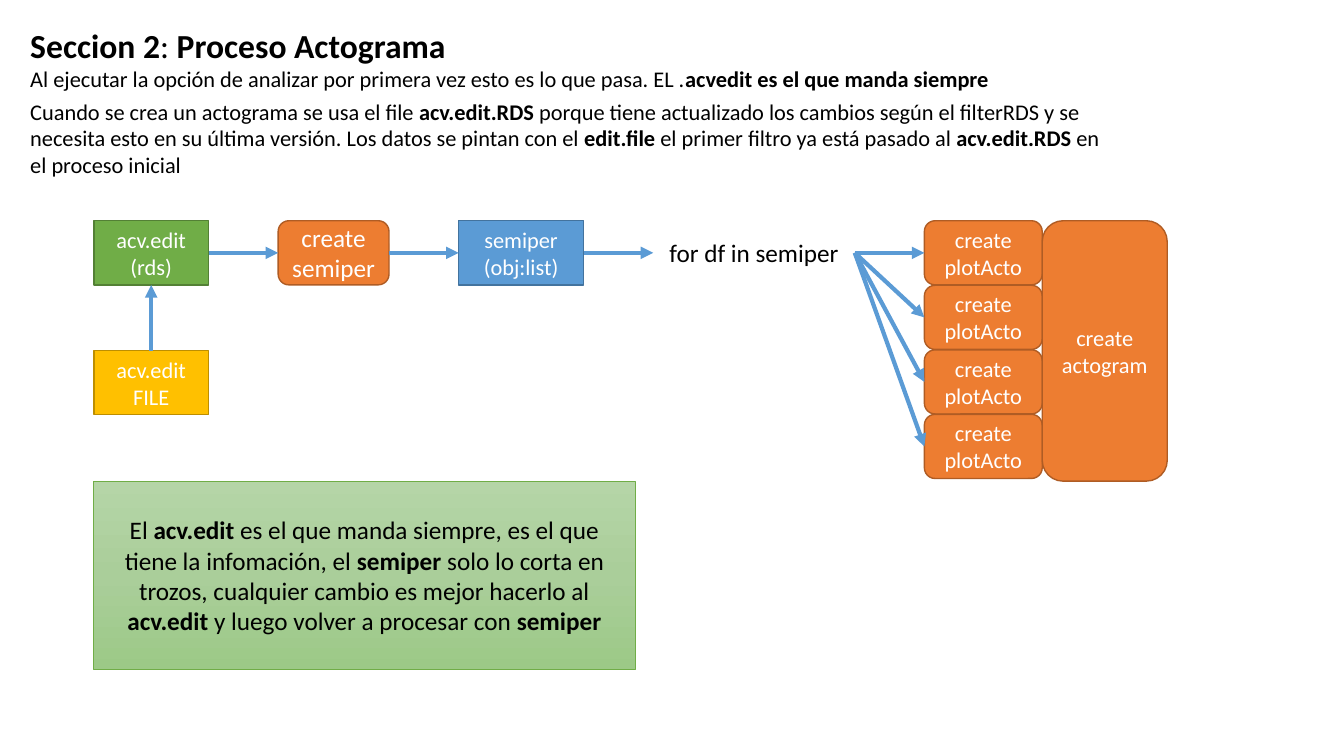
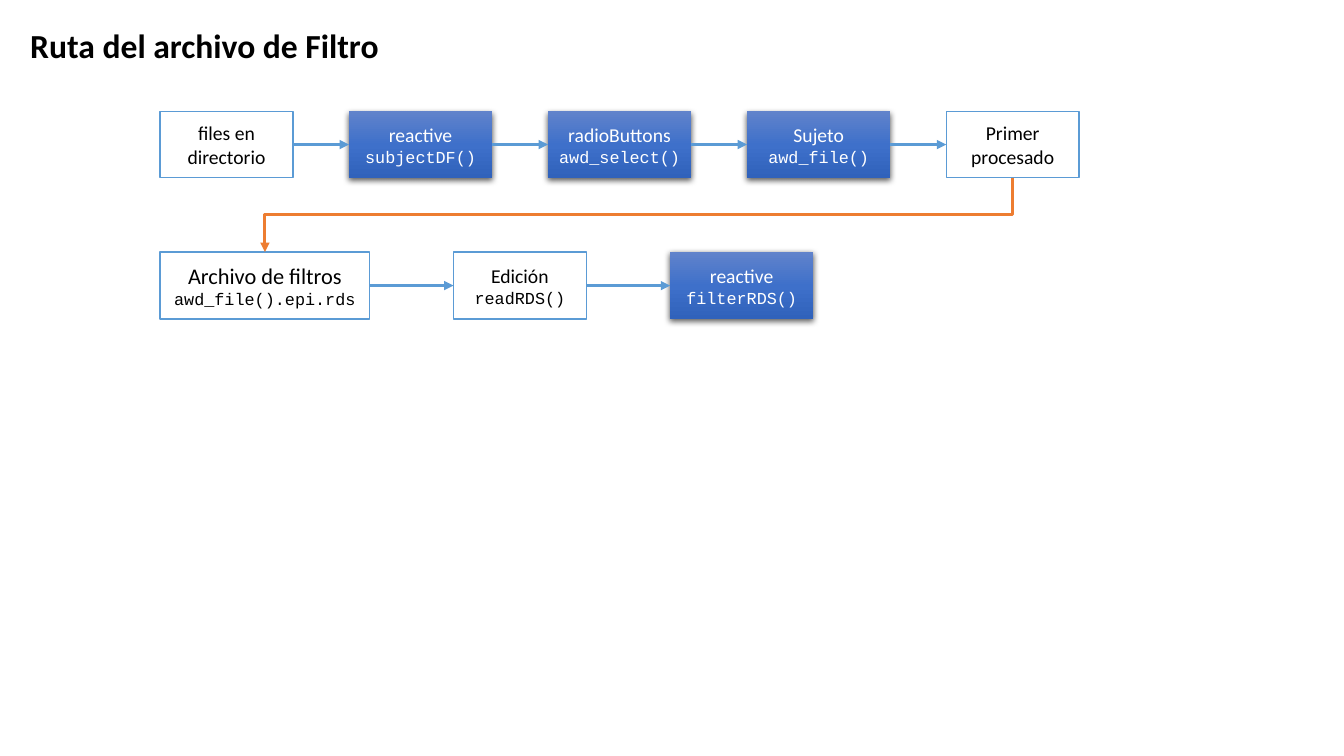
from copy import deepcopy

from lxml import etree
from pptx import Presentation
from pptx.dml.color import RGBColor
from pptx.enum.shapes import MSO_CONNECTOR, MSO_SHAPE
from pptx.enum.text import MSO_ANCHOR, MSO_AUTO_SIZE, PP_ALIGN
from pptx.oxml.ns import qn
from pptx.util import Pt

RECTANGLE, ROUNDED = MSO_SHAPE.RECTANGLE, MSO_SHAPE.ROUNDED_RECTANGLE
STRAIGHT, ELBOW = MSO_CONNECTOR.STRAIGHT, MSO_CONNECTOR.ELBOW
CENTER, LEFT = PP_ALIGN.CENTER, PP_ALIGN.LEFT
MIDDLE, TOP_ANCHOR = MSO_ANCHOR.MIDDLE, MSO_ANCHOR.TOP
NO_AUTOFIT = MSO_AUTO_SIZE.NONE
TOP, LEFT_SIDE, BOTTOM, RIGHT_SIDE = range(4)


class Theme:
    black, white = "000000", "FFFFFF"
    arrow, return_arrow = "5B9BD5", "ED7D31"
    title = {"size": Pt(24), "name": "Calibri"}
    large = {"size": Pt(18), "name": "Calibri"}
    label = {"size": Pt(16), "name": "Calibri"}
    small = {"size": Pt(14), "name": "Calibri"}
    code = {"size": Pt(12), "name": "Courier New"}
    # Each look holds the fill (or gradient stops), line, line width and text colour.
    plain = (None, None, 0, black)
    green = ("70AD47", "538035", 1, white)
    orange = ("ED7D31", "AF5C24", 1, white)
    blue = ("5B9BD5", "43739E", 1, white)
    yellow = ("FFC000", "BD8E00", 1, white)
    outline = (white, "5B9BD5", 1, black)
    note = (("B5D5A7", "AACE9A", "9CC987"), "70AD47", 0.5, black)
    reactive = (("6183CB", "3E70CA", "3062BB"), None, 0, white)


def write_text(shape, lines, color, alignment, anchor):
    """Write (text, style) lines as paragraphs; text between ** marks is bold."""
    frame = shape.text_frame
    settings = {"word_wrap": True, "auto_size": NO_AUTOFIT, "vertical_anchor": anchor}
    for name, value in settings.items():
        setattr(frame, name, value)
    for index, (text, style) in enumerate(lines):
        paragraph = frame.add_paragraph() if index else frame.paragraphs[0]
        paragraph.alignment = alignment
        for part, words in enumerate(text.split("**")):
            if words:
                run = paragraph.add_run()
                run.text = words
                for name, value in {**style, "bold": part % 2 == 1}.items():
                    setattr(run.font, name, value)
                run.font.color.rgb = RGBColor.from_string(color)


def add_box(slide, kind, bounds, look, lines):
    """Add a labelled shape, or a text box when kind is None."""
    fill, line, weight, ink = look
    bounds = [Pt(value) for value in bounds]
    if kind is None:
        shape = slide.shapes.add_textbox(*bounds)
    else:
        shape = slide.shapes.add_shape(kind, *bounds)
        shape.shadow.inherit = False
    if isinstance(fill, tuple):
        shape.fill.gradient()
        shape.fill.gradient_angle = 270
        stop_list = shape._element.spPr.find(".//" + qn("a:gsLst"))
        stop_list.insert(1, deepcopy(stop_list[0]))
        for index, stop in enumerate(shape.fill.gradient_stops):
            stop.position = index / 2
            stop.color.rgb = RGBColor.from_string(fill[index])
    elif fill:
        shape.fill.solid()
        shape.fill.fore_color.rgb = RGBColor.from_string(fill)
    if line:
        shape.line.color.rgb = RGBColor.from_string(line)
        shape.line.width = Pt(weight)
    else:
        shape.line.fill.background()
    if look is Theme.reactive:
        effects = shape._element.spPr.find(qn("a:effectLst"))
        shadow = etree.SubElement(effects, qn("a:outerShdw"), blurRad=str(Pt(4.5)),
                                  dist=str(Pt(1.5)), dir="5400000", rotWithShape="0")
        shadow_color = etree.SubElement(shadow, qn("a:srgbClr"), val=Theme.black)
        etree.SubElement(shadow_color, qn("a:alpha"), val="63000")
    write_text(shape, lines, ink, CENTER, MIDDLE)
    return shape


presentation = Presentation()
presentation.slide_width, presentation.slide_height = Pt(960), Pt(540)
layouts = presentation.slide_layouts
process_slide = presentation.slides.add_slide(layouts.get_by_name("Title and Content"))
route_slide = presentation.slides.add_slide(layouts.get_by_name("Title Only"))

# Titles and introduction
intro = [
    ("Al ejecutar la opción de analizar por primera vez esto es lo que pasa. EL ."
     "**acvedit es el que manda siempre**", Theme.label),
    ("Cuando se crea un actograma se usa el file **acv.edit.RDS **porque tiene "
     "actualizado los cambios según el filterRDS y se necesita esto en su última "
     "versión. Los datos se pintan con el **edit.file** el primer filtro ya está "
     "pasado al **acv.edit.RDS **en el proceso inicial", Theme.label),
]
body = process_slide.placeholders[1]
headings = [
    (process_slide.shapes.title, (14.4, 14.4, 790, 36),
     [("**Seccion 2**: **Proceso Actograma**", Theme.title)]),
    (route_slide.shapes.title, (14.4, 14.4, 909, 53),
     [("**Ruta del archivo de Filtro**", Theme.title)]),
    (body, (14.4, 43, 790, 90), intro),
]
for placeholder, bounds, lines in headings:
    for name, value in zip(("left", "top", "width", "height"), bounds):
        setattr(placeholder, name, Pt(value))
    write_text(placeholder, lines, Theme.black, LEFT, TOP_ANCHOR)
for index, paragraph in enumerate(body.text_frame.paragraphs):
    paragraph.space_before = Pt(4 * index)
    properties = paragraph._p.get_or_add_pPr()
    properties.set("marL", "0")
    properties.set("indent", "0")
    etree.SubElement(properties, qn("a:buNone"))

# Rows of boxes, each joined to the next by an arrow
ROW_TOP, ROW_HEIGHT, PLOT_WIDTH = 157.7, 45.8, 84.2
plot_lines = [("create plotActo", Theme.label)]
rows = [
    (process_slide, 67, ROW_TOP, ROW_HEIGHT, 49.7, 3, [
        (RECTANGLE, 82, Theme.green, [("acv.edit", Theme.label), ("(rds)", Theme.label)]),
        (ROUNDED, 79.2, Theme.orange, [("create semiper", Theme.large)]),
        (RECTANGLE, 89.3, Theme.blue,
         [("semiper", Theme.label), ("(obj:list)", Theme.label)]),
        (None, 144, Theme.plain, [("for df in semiper", Theme.large)]),
        (ROUNDED, PLOT_WIDTH, Theme.orange, plot_lines),
    ]),
    (route_slide, 114.3, 79.5, 47.5, 40, 2.25, [
        (RECTANGLE, 95, Theme.outline, [("files en directorio", Theme.small)]),
        (RECTANGLE, 102.2, Theme.reactive,
         [("reactive", Theme.small), ("subjectDF()", Theme.code)]),
        (RECTANGLE, 102.2, Theme.reactive,
         [("radioButtons", Theme.small), ("awd_select()", Theme.code)]),
        (RECTANGLE, 102.2, Theme.reactive,
         [("Sujeto", Theme.small), ("awd_file()", Theme.code)]),
        (RECTANGLE, 95, Theme.outline,
         [("Primer", Theme.small), ("procesado", Theme.small)]),
    ]),
    (route_slide, 114.3, 180, 48, 59.8, 2.25, [
        (RECTANGLE, 149.8, Theme.outline,
         [("Archivo de filtros", Theme.label), ("awd_file().epi.rds", Theme.code)]),
        (RECTANGLE, 95, Theme.outline,
         [("Edición", Theme.small), ("readRDS()", Theme.code)]),
        (RECTANGLE, 102.2, Theme.reactive,
         [("reactive", Theme.small), ("filterRDS()", Theme.code)]),
    ]),
]
arrows = []
row_shapes = []
for slide, left, top, height, gap, weight, boxes in rows:
    shapes = []
    for kind, width, look, lines in boxes:
        shapes.append(add_box(slide, kind, (left, top, width, height), look, lines))
        left += width + gap
    row_shapes.append(shapes)
    for source, target in zip(shapes, shapes[1:]):
        arrows.append((slide, source, RIGHT_SIDE, target, LEFT_SIDE, weight))
process_row, reading_row, filter_row = row_shapes

# Remaining boxes of the process
PLOT_PITCH = 46.1
loop_label, first_plot = process_row[-2:]
plot_left = first_plot.left.pt
for index in range(1, 4):
    bounds = (plot_left, ROW_TOP + index * PLOT_PITCH, PLOT_WIDTH, ROW_HEIGHT)
    plot = add_box(process_slide, ROUNDED, bounds, Theme.orange, plot_lines)
    arrows.append((process_slide, loop_label, RIGHT_SIDE, plot, LEFT_SIDE, 3))
add_box(process_slide, ROUNDED, (plot_left + PLOT_WIDTH, ROW_TOP, 89.3, 186),
        Theme.orange, [("create actogram", Theme.label)])
edit_file = add_box(process_slide, RECTANGLE, (67, 250.5, 82, ROW_HEIGHT), Theme.yellow,
                    [("acv.edit", Theme.label), ("FILE", Theme.label)])
arrows.append((process_slide, edit_file, TOP, process_row[0], BOTTOM, 3))
add_box(process_slide, RECTANGLE, (67, 343.5, 386.6, 134.5), Theme.note, [
    ("El **acv.edit** es el que manda siempre, es el que tiene la infomación, el "
     "**semiper** solo lo corta en trozos, cualquier cambio es mejor hacerlo al "
     "**acv.edit** y luego volver a procesar con **semiper**", Theme.large)])

# Arrows
connectors = []
for slide, source, source_side, target, target_side, weight in arrows:
    connector = slide.shapes.add_connector(STRAIGHT, 0, 0, 0, 0)
    connector.begin_connect(source, source_side)
    connector.end_connect(target, target_side)
    connectors.append((connector, Theme.arrow, weight))

# The elbow leaves downwards, so it is laid out sideways and turned a quarter
source, target = reading_row[-1], filter_row[0]
start_x, end_x = (shape.left + shape.width // 2 for shape in (source, target))
start_y, end_y = source.top + source.height, target.top
center_x, center_y = (start_x + end_x) // 2, (start_y + end_y) // 2
half_drop, half_run = (end_y - start_y) // 2, (start_x - end_x) // 2
elbow = route_slide.shapes.add_connector(
    ELBOW, center_x - half_drop, center_y - half_run,
    center_x + half_drop, center_y + half_run)
elbow._element.spPr.find(qn("a:xfrm")).set("rot", "5400000")
connectors.append((elbow, Theme.return_arrow, 2.25))

for connector, color, weight in connectors:
    connector.line.color.rgb = RGBColor.from_string(color)
    connector.line.width = Pt(weight)
    etree.SubElement(connector.line._get_or_add_ln(), qn("a:tailEnd"), type="triangle")
    etree.SubElement(connector._element.spPr, qn("a:effectLst"))

presentation.save("out.pptx")
